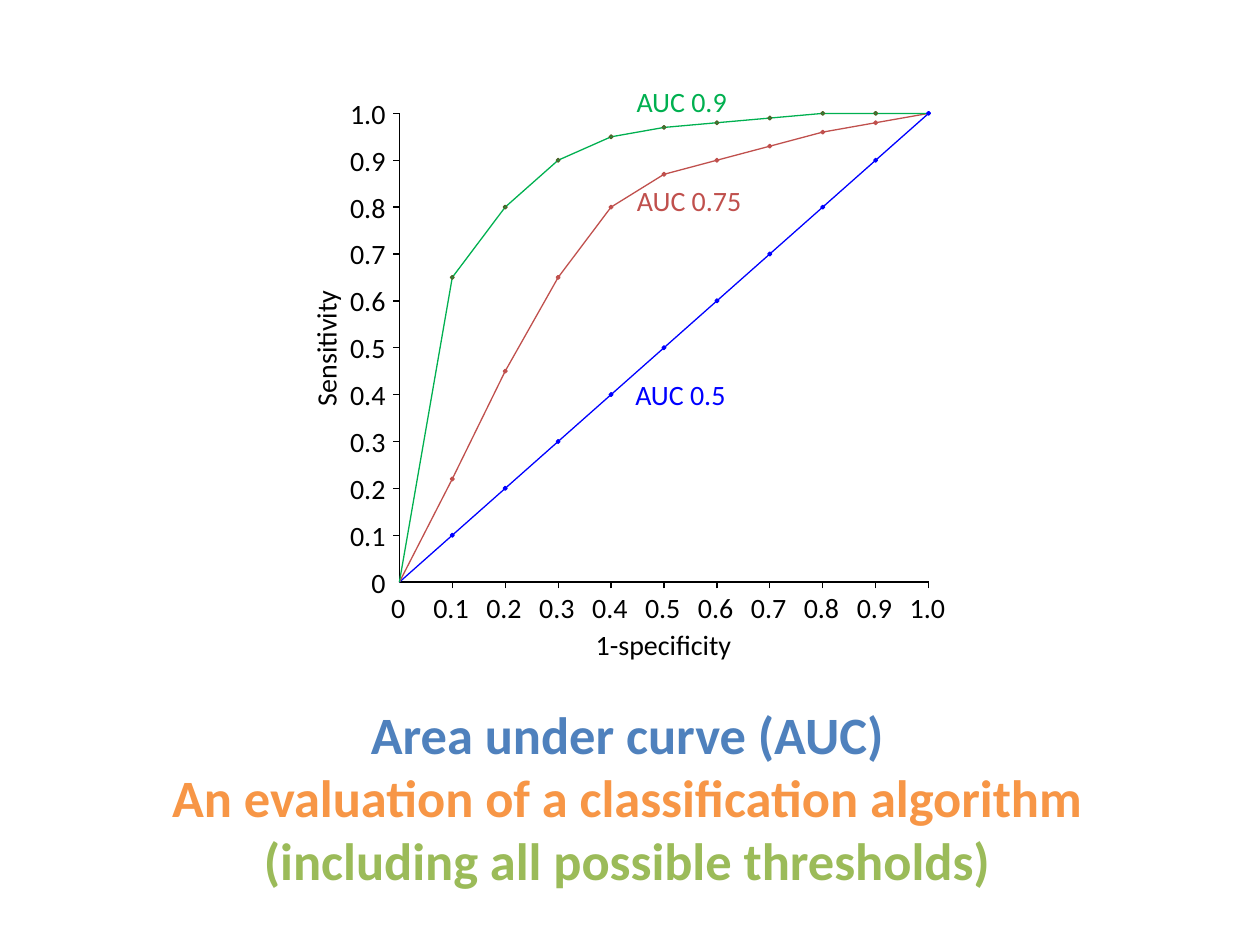
from pptx import Presentation
from pptx.dml.color import RGBColor
from pptx.enum.shapes import MSO_CONNECTOR, MSO_SHAPE
from pptx.enum.text import MSO_AUTO_SIZE, PP_ALIGN as Align
from pptx.oxml.ns import qn
from pptx.util import Inches, Pt
from lxml.etree import SubElement

BLACK = RGBColor(0x00, 0x00, 0x00)
BLUE = RGBColor(0x00, 0x00, 0xFF)
RED = RGBColor(0xC0, 0x50, 0x4D)
GREEN = RGBColor(0x00, 0xB0, 0x50)
DARK_GREEN = RGBColor(0x4F, 0x62, 0x28)
TITLE_BLUE = RGBColor(0x4F, 0x81, 0xBD)
TITLE_ORANGE = RGBColor(0xF7, 0x96, 0x46)
TITLE_GREEN = RGBColor(0x9B, 0xBB, 0x59)

FONT = "Calibri"
LINE_WIDTH = Pt(0.75)
LEFT, BOTTOM = 3.17, 4.62
PLOT_WIDTH, PLOT_HEIGHT = 4.2, 3.72
TICK = 0.05
MARKER = 0.03
LABEL_WIDTH, LABEL_HEIGHT = 0.3, 0.27

# Sensitivity at 1-specificity 0, 0.1, ... 1.0: values, line, marker outline
CURVES = [
    ([step / 10 for step in range(11)], BLUE, BLUE),
    ([0, 0.22, 0.45, 0.65, 0.8, 0.87, 0.9, 0.93, 0.96, 0.98, 1], RED, RED),
    ([0, 0.65, 0.8, 0.9, 0.95, 0.97, 0.98, 0.99, 1, 1, 1], GREEN, DARK_GREEN),
]
CURVE_LABELS = [
    ("AUC 0.5", 5.04, 3.0, 0.72, BLUE),
    ("AUC 0.75", 5.05, 1.46, 0.84, RED),
    ("AUC 0.9", 5.05, 0.67, 0.72, GREEN),
]
TITLE = [
    [("Area under curve (AUC)", TITLE_BLUE)],
    [("An evaluation of a classiﬁcation algorithm ", TITLE_ORANGE),
     ("(including all possible thresholds)", TITLE_GREEN)],
]


def plot_x(value):
    return LEFT + PLOT_WIDTH * value


def plot_y(value):
    return BOTTOM - PLOT_HEIGHT * value


def add_text(slide, paragraphs, left, top, width, height=LABEL_HEIGHT, *,
             size=16, bold=False, align=Align.CENTER, wrap=False, rotation=0):
    """Each paragraph is a list of (text, colour) runs."""
    box = slide.shapes.add_textbox(
        Inches(left), Inches(top), Inches(width), Inches(height))
    box.rotation = rotation
    frame = box.text_frame
    frame.margin_left = frame.margin_right = 0
    frame.margin_top = frame.margin_bottom = 0
    frame.word_wrap = wrap
    frame.auto_size = MSO_AUTO_SIZE.SHAPE_TO_FIT_TEXT
    for index, runs in enumerate(paragraphs):
        paragraph = frame.add_paragraph() if index else frame.paragraphs[0]
        paragraph.alignment = align
        for text, color in runs:
            run = paragraph.add_run()
            run.text = text
            run.font.name = FONT
            run.font.size = Pt(size)
            run.font.bold = bold
            run.font.color.rgb = color


def add_polyline(slide, points, color):
    start, *rest = [(Inches(x), Inches(y)) for x, y in points]
    builder = slide.shapes.build_freeform(*start)
    builder.add_line_segments(rest, close=False)
    polyline = builder.convert_to_shape()
    polyline.shadow.inherit = False
    polyline.fill.background()
    polyline.line.color.rgb = color
    polyline.line.width = LINE_WIDTH


def add_marker(slide, x, y, color, outline):
    marker = slide.shapes.add_shape(
        MSO_SHAPE.DIAMOND, Inches(x - MARKER / 2), Inches(y - MARKER / 2),
        Inches(MARKER), Inches(MARKER))
    marker.shadow.inherit = False
    marker.fill.solid()
    marker.fill.fore_color.rgb = color
    marker.line.color.rgb = outline
    marker.line.width = LINE_WIDTH


def add_tick(slide, x1, y1, x2, y2):
    tick = slide.shapes.add_connector(
        MSO_CONNECTOR.STRAIGHT, Inches(x1), Inches(y1), Inches(x2), Inches(y2))
    tick.line.color.rgb = BLACK
    tick.line.width = LINE_WIDTH
    SubElement(tick._element.spPr, qn("a:effectLst"))


def add_axes(slide):
    add_polyline(slide, [(LEFT, plot_y(1)), (LEFT, BOTTOM), (plot_x(1), BOTTOM)],
                 BLACK)
    add_text(slide, [[("1-specificity", BLACK)]], 4.72, 4.98, 1.09)
    add_text(slide, [[("Sensitivity", BLACK)]], 2.12, 2.63, 0.93, rotation=270)


def add_scales(slide):
    for step in range(11):
        value = step / 10
        x, y = plot_x(value), plot_y(value)
        label = [[(str(value) if step else "0", BLACK)]]
        width = LABEL_WIDTH if step else 0.12
        add_text(slide, label, 3.06 - width, y - LABEL_HEIGHT / 2, width,
                 align=Align.RIGHT)
        add_text(slide, label, x - 0.01 - width / 2, 4.69, width)
        if step:
            add_tick(slide, LEFT - TICK, y, LEFT, y)
            add_tick(slide, x, BOTTOM + TICK, x, BOTTOM)


def add_curves(slide):
    curve_points = [
        [(plot_x(step / 10), plot_y(value)) for step, value in enumerate(values)]
        for values, _, _ in CURVES]
    for points, (_, color, _) in zip(curve_points, CURVES):
        add_polyline(slide, points, color)
    for points, (_, color, outline) in zip(curve_points, CURVES):
        # The shared end point carries only the diagonal's marker.
        marked = points[1:] if color == BLUE else points[1:-1]
        for x, y in marked:
            add_marker(slide, x, y, color, outline)
    for text, left, top, width, color in CURVE_LABELS:
        add_text(slide, [[(text, color)]], left, top, width)


def main():
    prs = Presentation()
    prs.slide_width, prs.slide_height = Inches(10), Inches(7.5)
    slide = prs.slides.add_slide(prs.slide_layouts[6])
    add_text(slide, TITLE, 1.34, 5.57, 7.28, 1.51, size=30, bold=True, wrap=True)
    add_axes(slide)
    add_curves(slide)
    add_scales(slide)
    prs.save("out.pptx")


if __name__ == "__main__":
    main()
